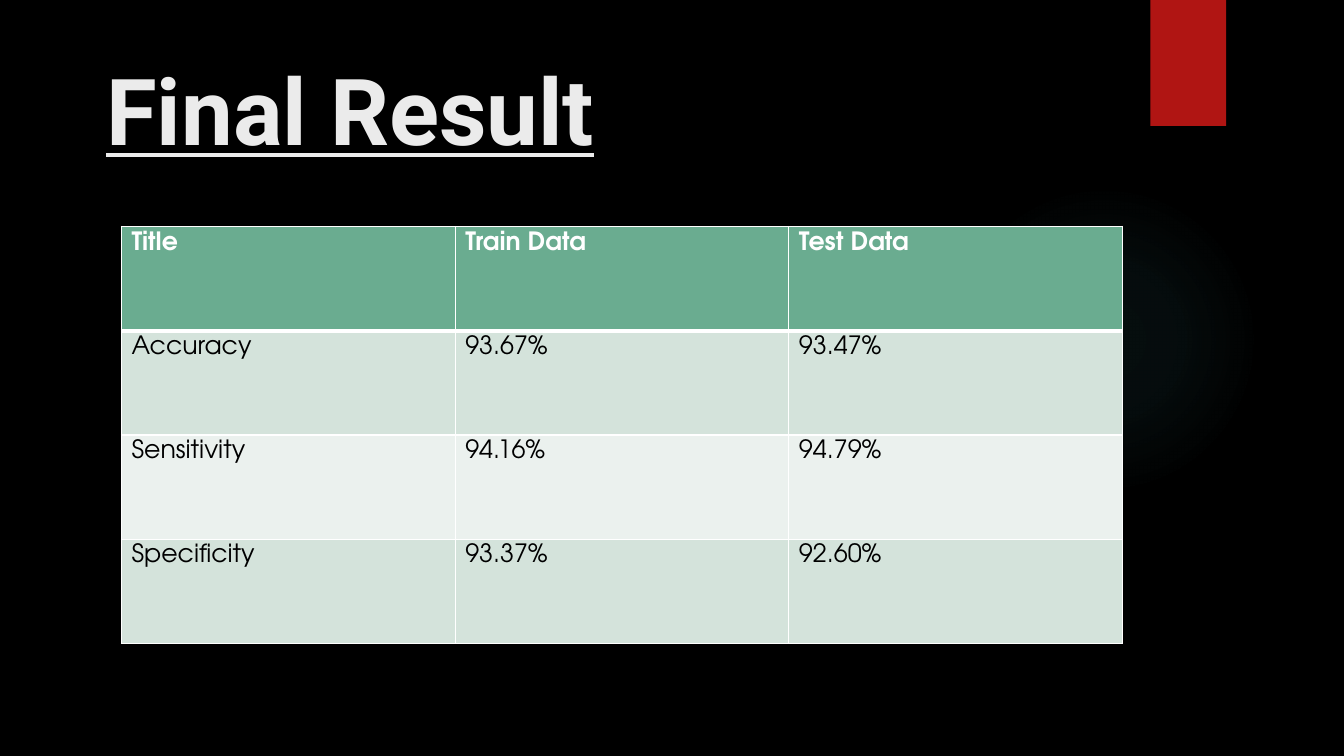
from dataclasses import dataclass
from typing import Any

from lxml import etree
from pptx import Presentation
from pptx.dml.color import RGBColor
from pptx.enum.shapes import MSO_SHAPE
from pptx.enum.text import MSO_ANCHOR
from pptx.oxml import parse_xml
from pptx.oxml.ns import nsdecls, qn
from pptx.util import Emu, Inches, Pt

ELLIPSE = MSO_SHAPE.OVAL
RECTANGLE = MSO_SHAPE.RECTANGLE
TOP = MSO_ANCHOR.TOP
BLANK_LAYOUT = 6


@dataclass(frozen=True)
class Theme:
    background: str = "000000"
    accent: str = "B01513"
    glow: str = "50B9C1"
    title: str = "EBEBEB"
    header: str = "6AAC90"
    odd_row: str = "D4E3DB"
    even_row: str = "EBF1EE"
    border: str = "FFFFFF"
    header_text: str = "FFFFFF"
    body_text: str = "000000"
    title_font: str = "Roboto"
    table_font: str = "TeX Gyre Adventor"
    title_size: int = 66
    table_size: int = 18
    thin: int = 1
    thick: int = 3


@dataclass(frozen=True)
class PercentFrame:
    left: float
    top: float
    width: float
    height: float

    def place(self, deck: Any) -> tuple[Emu, Emu, Emu, Emu]:
        across, down = deck.slide_width / 100, deck.slide_height / 100
        return (Emu(round(self.left * across)), Emu(round(self.top * down)),
                Emu(round(self.width * across)), Emu(round(self.height * down)))


@dataclass(frozen=True)
class Metric:
    name: str
    train: str
    test: str


THEME = Theme()
GLOW = PercentFrame(70.59, 24.4, 23.11, 41.07)
RIBBON = PercentFrame(85.6, 0, 5.63, 16.67)
TITLE = PercentFrame(7.17, 6.27, 77.19, 20.4)
TABLE = PercentFrame(9.04, 29.95, 74.49, 55.2)
GLOW_STOPS = ((0, 7), (36, 6), (69, 0))
RESULTS = (
    Metric("Title", "Train Data", "Test Data"),
    Metric("Accuracy", "93.67%", "93.47%"),
    Metric("Sensitivity", "94.16%", "94.79%"),
    Metric("Specificity", "93.37%", "92.60%"),
)


def write_text(text_frame: Any, text: str, *, font: str, size: int, color: str,
               bold: bool = False, underline: bool = False) -> None:
    span = text_frame.paragraphs[0].add_run()
    span.text = text
    span.font.name = font
    span.font.size = Pt(size)
    span.font.bold = bold
    span.font.underline = underline
    span.font.color.rgb = RGBColor.from_string(color)


def add_block(deck: Any, page: Any, kind: Any, frame: PercentFrame, color: str) -> Any:
    block = page.shapes.add_shape(kind, *frame.place(deck))
    block.shadow.inherit = False
    block.fill.solid()
    block.fill.fore_color.rgb = RGBColor.from_string(color)
    block.line.fill.background()
    return block


def add_glow(deck: Any, page: Any) -> None:
    glow = add_block(deck, page, ELLIPSE, GLOW, THEME.glow)
    stops = "".join(
        f'<a:gs pos="{position * 1000}"><a:srgbClr val="{THEME.glow}">'
        f'<a:alpha val="{opacity * 1000}"/></a:srgbClr></a:gs>'
        for position, opacity in GLOW_STOPS)
    gradient = parse_xml(
        f'<a:gradFill {nsdecls("a")}><a:gsLst>{stops}</a:gsLst>'
        '<a:path path="circle"><a:fillToRect l="50000" t="50000" r="50000" b="50000"/>'
        '</a:path></a:gradFill>')
    properties = glow.element.spPr
    properties.replace(properties.find(qn("a:solidFill")), gradient)


def add_title(deck: Any, page: Any) -> None:
    box = page.shapes.add_textbox(*TITLE.place(deck))
    box.text_frame.word_wrap = True
    box.text_frame.vertical_anchor = TOP
    box.text_frame.margin_top = Inches(0.06)
    write_text(box.text_frame, "Final Result", font=THEME.title_font,
               size=THEME.title_size, color=THEME.title, bold=True, underline=True)


def set_borders(cell: Any, widths: dict[str, int]) -> None:
    properties = cell._tc.get_or_add_tcPr()
    for index, (side, width) in enumerate(widths.items()):
        line = etree.Element(qn(f"a:ln{side}"), w=str(Pt(width)))
        fill = etree.SubElement(line, qn("a:solidFill"))
        etree.SubElement(fill, qn("a:srgbClr"), val=THEME.border)
        properties.insert(index, line)


def add_results(deck: Any, page: Any) -> None:
    table = page.shapes.add_table(len(RESULTS), 3, *TABLE.place(deck)).table
    for row, metric in enumerate(RESULTS):
        header = row == 0
        fill = THEME.header if header else THEME.odd_row if row % 2 else THEME.even_row
        top = THEME.thick if row == 1 else THEME.thin
        bottom = THEME.thick if header else THEME.thin
        for column, text in enumerate((metric.name, metric.train, metric.test)):
            cell = table.cell(row, column)
            cell.margin_top = cell.margin_bottom = Inches(0.05)
            cell.fill.solid()
            cell.fill.fore_color.rgb = RGBColor.from_string(fill)
            set_borders(cell, {"L": THEME.thin, "R": THEME.thin, "T": top, "B": bottom})
            write_text(cell.text_frame, text, font=THEME.table_font,
                       size=THEME.table_size, bold=header,
                       color=THEME.header_text if header else THEME.body_text)


def main() -> None:
    deck = Presentation()
    deck.slide_width, deck.slide_height = Inches(13.33), Inches(7.5)
    page = deck.slides.add_slide(deck.slide_layouts[BLANK_LAYOUT])
    page.background.fill.solid()
    page.background.fill.fore_color.rgb = RGBColor.from_string(THEME.background)
    add_glow(deck, page)
    add_block(deck, page, RECTANGLE, RIBBON, THEME.accent)
    add_title(deck, page)
    add_results(deck, page)
    deck.save("out.pptx")


if __name__ == "__main__":
    main()
